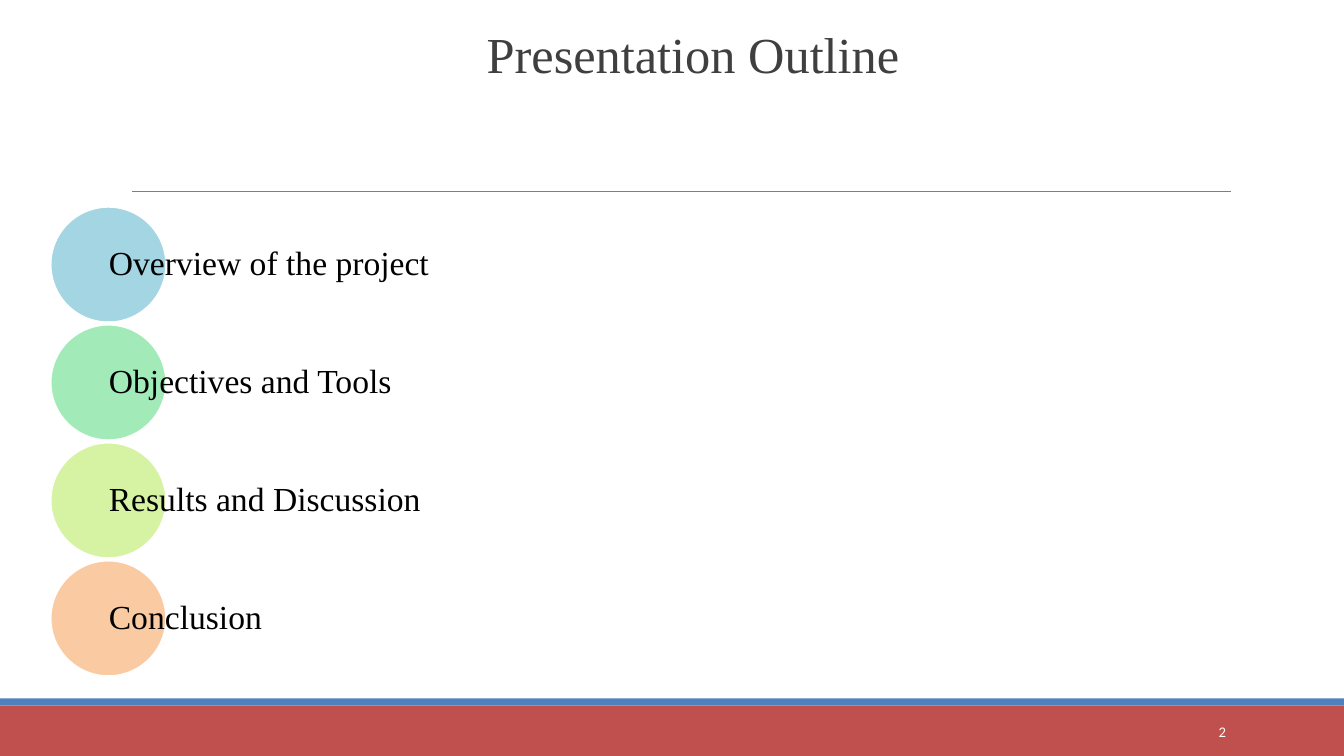
from dataclasses import dataclass

from lxml import etree
from pptx import Presentation
from pptx.dml.color import RGBColor
from pptx.enum.shapes import MSO_CONNECTOR, MSO_SHAPE
from pptx.enum.text import MSO_ANCHOR, MSO_AUTO_SIZE, PP_ALIGN
from pptx.oxml.ns import qn
from pptx.util import Inches, Pt

TITLE = "Presentation Outline"
PAGE_NUMBER = "2"
TOPICS = [
    ("Overview of the project", "4BACC6"),
    ("Objectives and Tools", "47D872"),
    ("Results and Discussion", "ACE946"),
    ("Conclusion", "F79646"),
]
BANDS = [(7, 0.5, "C0504D"), (6.93, 0.07, "4F81BD")]


@dataclass(frozen=True)
class Theme:
    heading_font: str = "Times New Roman"
    number_font: str = "Calibri"
    title_size: float = 36
    topic_size: float = 24
    number_size: float = 10.5
    title_color: str = "3F3F3F"
    topic_color: str = "000000"
    light: str = "FFFFFF"
    rule: str = "7F7F7F"
    circle_opacity: int = 50


THEME = Theme()
SLIDE_WIDTH, SLIDE_HEIGHT = 13.33, 7.5
CIRCLE_LEFT, CIRCLE_TOP, CIRCLE_SIZE = 0.49, 2.04, 1.17
TOPIC_LEFT, TOPIC_WIDTH = 1.08, 6.24


def add_filled_shape(slide, kind, box, color):
    shape = slide.shapes.add_shape(kind, *map(Inches, box))
    shape.shadow.inherit = False
    shape.fill.solid()
    shape.fill.fore_color.rgb = RGBColor.from_string(color)
    shape.line.fill.background()
    return shape


def write_text(shape, text, font, size, color, align, anchor, margins=(0.1, 0.05)):
    frame = shape.text_frame
    frame.word_wrap = True
    frame.auto_size = MSO_AUTO_SIZE.NONE
    frame.vertical_anchor = anchor
    frame.margin_left = frame.margin_right = Inches(margins[0])
    frame.margin_top = frame.margin_bottom = Inches(margins[1])
    paragraph = frame.paragraphs[0]
    paragraph.text = text
    paragraph.alignment = align
    paragraph.font.name = font
    paragraph.font.size = Pt(size)
    paragraph.font.color.rgb = RGBColor.from_string(color)
    return paragraph


def add_background(slide):
    for top, height, color in BANDS:
        add_filled_shape(slide, MSO_SHAPE.RECTANGLE, (0, top, SLIDE_WIDTH, height), color)
    rule = slide.shapes.add_connector(
        MSO_CONNECTOR.STRAIGHT, Inches(1.31), Inches(1.9), Inches(12.21), Inches(1.9)
    )
    rule.line.color.rgb = RGBColor.from_string(THEME.rule)
    rule.line.width = Pt(0.75)
    etree.SubElement(rule.element.spPr, qn("a:effectLst"))


def add_topic(slide, index, text, color):
    top = CIRCLE_TOP + index * CIRCLE_SIZE
    circle = add_filled_shape(
        slide, MSO_SHAPE.OVAL, (CIRCLE_LEFT, top, CIRCLE_SIZE, CIRCLE_SIZE), color
    )
    circle.line.color.rgb = RGBColor.from_string(THEME.light)
    circle.line.width = Pt(3)
    fill_color = circle.element.spPr.find(qn("a:solidFill")).find(qn("a:srgbClr"))
    etree.SubElement(fill_color, qn("a:alpha"), val=str(THEME.circle_opacity * 1000))
    label = slide.shapes.add_textbox(
        *map(Inches, (TOPIC_LEFT, top, TOPIC_WIDTH, CIRCLE_SIZE))
    )
    paragraph = write_text(
        label, text, THEME.heading_font, THEME.topic_size, THEME.topic_color,
        PP_ALIGN.LEFT, MSO_ANCHOR.MIDDLE, (0, 0.03),
    )
    paragraph.line_spacing = 0.9


def add_title(slide):
    title = slide.shapes.title
    title.left, title.top, title.width, title.height = map(Inches, (1.96, 0.18, 9.83, 0.7))
    paragraph = write_text(
        title, TITLE, THEME.heading_font, THEME.title_size, THEME.title_color,
        PP_ALIGN.CENTER, MSO_ANCHOR.BOTTOM,
    )
    paragraph.line_spacing = 0.85


def add_page_number(slide):
    number = slide.shapes.add_textbox(*map(Inches, (10.83, 7.06, 1.43, 0.4)))
    write_text(
        number, PAGE_NUMBER, THEME.number_font, THEME.number_size, THEME.light,
        PP_ALIGN.RIGHT, MSO_ANCHOR.MIDDLE,
    )


def main():
    presentation = Presentation()
    presentation.slide_width = Inches(SLIDE_WIDTH)
    presentation.slide_height = Inches(SLIDE_HEIGHT)
    slide = presentation.slides.add_slide(presentation.slide_layouts[5])
    add_background(slide)
    for index, (text, color) in enumerate(TOPICS):
        add_topic(slide, index, text, color)
    add_title(slide)
    add_page_number(slide)
    presentation.save("out.pptx")


if __name__ == "__main__":
    main()
